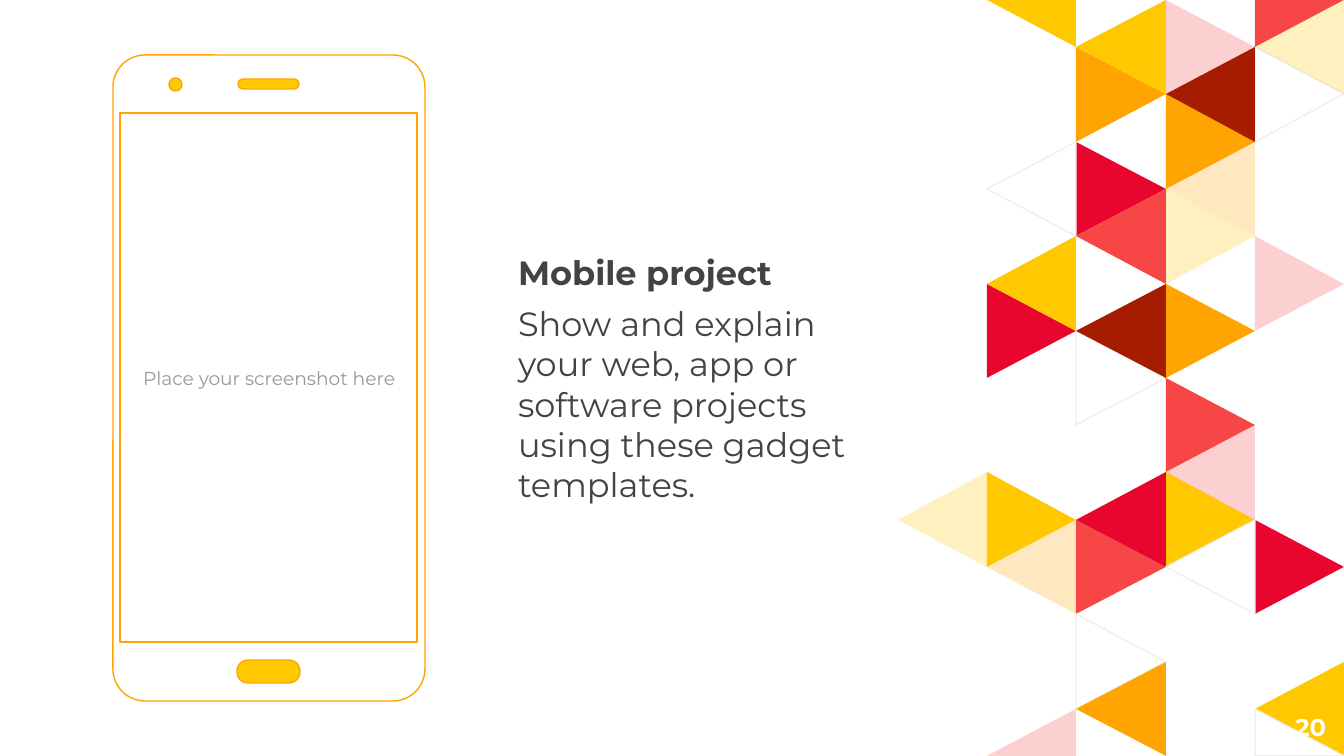
from lxml import etree
from pptx import Presentation
from pptx import util as u
from pptx.dml.color import RGBColor
from pptx.enum import shapes, text
from pptx.oxml.ns import qn

WHITE = RGBColor(0xFF, 0xFF, 0xFF)
YELLOW = RGBColor(0xFF, 0xC8, 0x00)
ORANGE = RGBColor(0xFF, 0xA4, 0x00)
CORAL = RGBColor(0xF6, 0x46, 0x46)
RED = RGBColor(0xE8, 0x06, 0x2F)
BROWN = RGBColor(0xA6, 0x1C, 0x00)
PALE_GREY = RGBColor(0xEF, 0xEF, 0xEF)
GREY = RGBColor(0x99, 0x99, 0x99)
DARK = RGBColor(0x43, 0x43, 0x43)

WIDTH, HEIGHT = 1344, 756
SCALE = u.Inches(10) / WIDTH
FONT = "Montserrat"
PAD = 13

COLS, ROWS = 5, 16
COL_W, ROW_H = 89.2, HEIGHT / ROWS
STYLES = {
    "yellow": (YELLOW, 100, None),
    "pale yellow": (YELLOW, 25, None),
    "orange": (ORANGE, 100, None),
    "pale orange": (ORANGE, 25, None),
    "coral": (CORAL, 100, None),
    "pale coral": (CORAL, 25, None),
    "red": (RED, 100, None),
    "brown": (BROWN, 100, None),
    "outline": (WHITE, 100, PALE_GREY),
    "hollow": (None, 100, PALE_GREY),
}
TRIANGLES = [
    (2, 12, "right", "coral"), (2, 14, "right", "outline"),
    (3, 3, "right", "orange"), (4, 2, "right", "outline"),
    (3, 5, "right", "pale yellow"), (3, 11, "right", "yellow"),
    (4, 12, "right", "red"), (3, 1, "right", "pale coral"),
    (4, 0, "right", "coral"), (2, 11, "left", "red"),
    (1, 12, "left", "pale orange"), (3, 2, "left", "brown"),
    (3, 4, "left", "pale orange"), (3, 10, "left", "pale coral"),
    (3, 12, "left", "outline"), (1, 0, "left", "yellow"),
    (1, 16, "left", "pale coral"), (2, 15, "left", "orange"),
    (4, 1, "left", "pale yellow"), (4, 15, "left", "yellow"),
    (2, 2, "right", "orange"), (2, 4, "right", "red"),
    (1, 4, "left", "outline"), (2, 5, "left", "coral"),
    (2, 1, "left", "yellow"), (4, 16, "right", "hollow"),
    (1, 7, "right", "red"), (2, 8, "right", "outline"),
    (1, 11, "right", "yellow"), (3, 7, "right", "orange"),
    (3, 9, "right", "coral"), (4, 6, "right", "pale coral"),
    (0, 11, "left", "pale yellow"), (1, 6, "left", "yellow"),
    (2, 7, "left", "brown"),
]

ROUND, RECT, OVAL = (shapes.MSO_SHAPE.ROUNDED_RECTANGLE,
                     shapes.MSO_SHAPE.RECTANGLE, shapes.MSO_SHAPE.OVAL)
PHONE = [
    (ROUND, (113, 55, 312, 646), 32, WHITE),
    (RECT, (120, 113, 297, 529), None, None),
    (ROUND, (237, 660, 63, 23), 11, YELLOW),
    (OVAL, (169, 78, 13, 13), None, YELLOW),
    (ROUND, (238, 79, 61, 10), 5, YELLOW),
]

LEFT, CENTER, RIGHT = (text.PP_ALIGN.LEFT, text.PP_ALIGN.CENTER,
                       text.PP_ALIGN.RIGHT)
TEXTS = [
    ((505, 55, 371, 646), LEFT, 6, 18, DARK, [
        ("Mobile project", True),
        ("Show and explain your web, app or software projects "
         "using these gadget templates.", False)]),
    ((121, 116, 296, 525), CENTER, 0, 10, GREY,
     [("Place your screenshot here", False)]),
    ((1258, 698, 81, 58), RIGHT, 0, 13, WHITE, [("20", True)]),
]


def px(n):
    return u.Emu(round(n * SCALE))


def set_all(obj, values):
    for name, value in values.items():
        setattr(obj, name, value)


def paint(sp, fill, line, alpha=100):
    sp.shadow.inherit = False
    if fill is None:
        sp.fill.background()
    else:
        sp.fill.solid()
        sp.fill.fore_color.rgb = fill
        if alpha < 100:
            clr = sp.fill._xPr.find(".//" + qn("a:srgbClr"))
            etree.SubElement(clr, qn("a:alpha")).set("val", str(alpha * 1000))
    if line is None:
        sp.line.fill.background()
    else:
        sp.line.color.rgb = line
        sp.line.width = u.Pt(0.75)


def grid_point(col, row):
    row = min(max(row, 0), ROWS)
    return round(WIDTH - (COLS - col) * COL_W), round(row * ROW_H)


def add_triangle(s, col, row, side, style):
    base, tip = (col, col + 1) if side == "right" else (col + 1, col)
    points = [grid_point(base, row - 1), grid_point(base, row + 1),
              grid_point(tip, row)]
    fb = s.shapes.build_freeform(*points[0], scale=SCALE)
    fb.add_line_segments(points[1:], close=True)
    fill, alpha, line = STYLES[style]
    paint(fb.convert_to_shape(), fill, line, alpha)


def add_phone_part(s, kind, box, radius, fill):
    sp = s.shapes.add_shape(kind, *map(px, box))
    if radius:
        sp.adjustments[0] = min(radius / min(box[2:]), 0.5)
    paint(sp, fill, ORANGE)


def add_text(s, box, align, before, size, color, paragraphs):
    tf = s.shapes.add_textbox(*map(px, box)).text_frame
    set_all(tf, {"word_wrap": True, "vertical_anchor": text.MSO_ANCHOR.MIDDLE,
                 "margin_left": px(PAD), "margin_right": px(PAD),
                 "margin_top": px(PAD), "margin_bottom": px(PAD)})
    for i, (words, bold) in enumerate(paragraphs):
        p = tf.add_paragraph() if i else tf.paragraphs[0]
        set_all(p, {"alignment": align, "space_before": u.Pt(before)})
        r = p.add_run()
        r.text = words
        set_all(r.font, {"name": FONT, "size": u.Pt(size), "bold": bold})
        r.font.color.rgb = color


def main():
    prs = Presentation()
    set_all(prs, {"slide_width": px(WIDTH), "slide_height": px(HEIGHT)})
    s = prs.slides.add_slide(prs.slide_layouts[6])
    for triangle in TRIANGLES:
        add_triangle(s, *triangle)
    for part in PHONE:
        add_phone_part(s, *part)
    for block in TEXTS:
        add_text(s, *block)
    prs.save("out.pptx")


if __name__ == "__main__":
    main()
